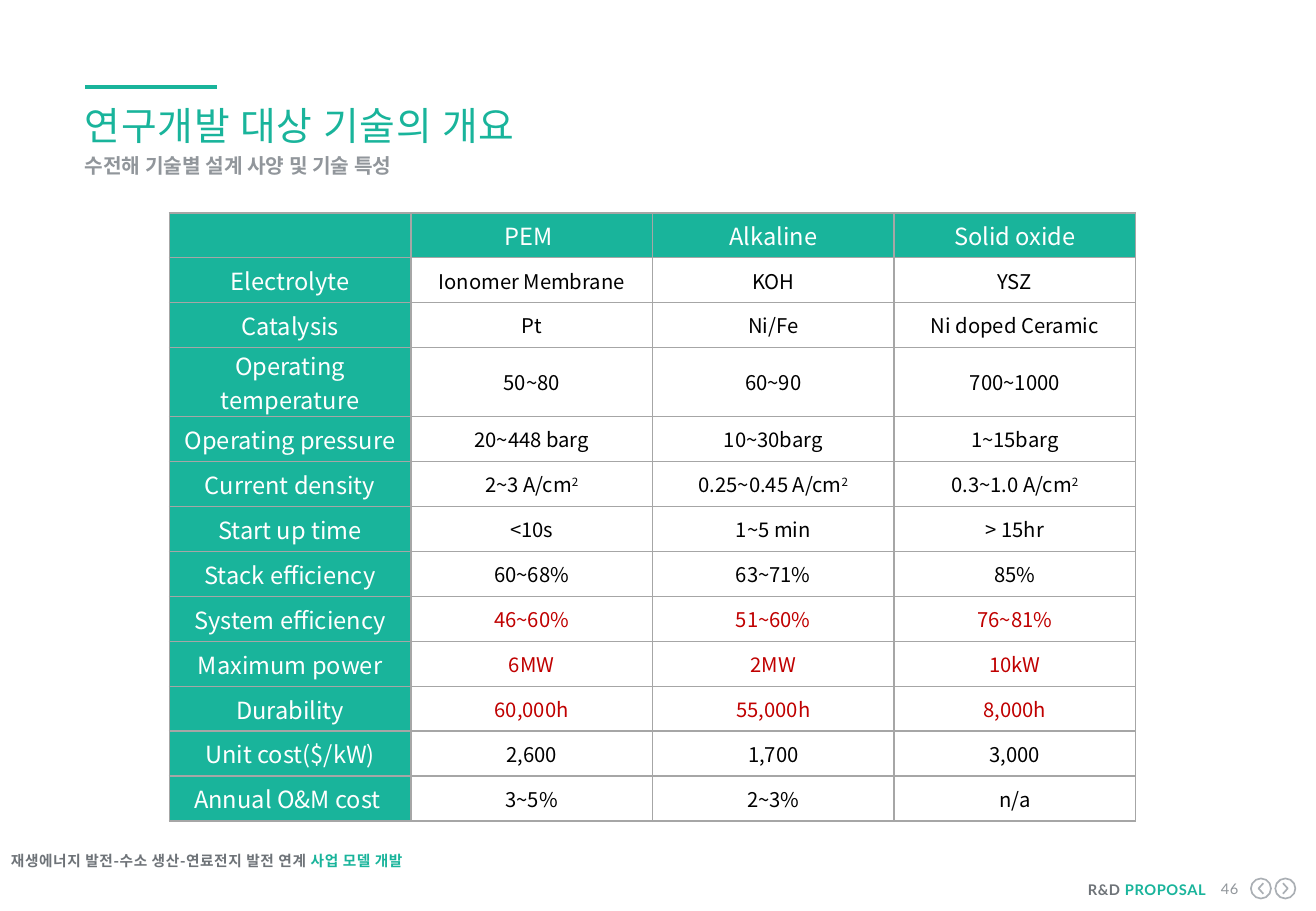
from dataclasses import dataclass
from typing import Optional

import lxml.etree
import pptx
import pptx.dml.color
import pptx.enum.shapes
import pptx.enum.text
import pptx.oxml
import pptx.oxml.ns
import pptx.util

Cm = pptx.util.Cm
Pt = pptx.util.Pt
Align = pptx.enum.text.PP_ALIGN


@dataclass(frozen=True)
class Theme:
    teal: str = "19B49B"
    dark_grey: str = "6E7378"
    grey: str = "91969B"
    icon_grey: str = "AAAFB4"
    border: str = "A6A6A6"
    white: str = "FFFFFF"
    black: str = "000000"
    red: str = "C00000"
    korean_font: str = "Noto Sans CJK KR"
    footer_font: str = "Lato"
    title_size: float = 23
    header_size: float = 14
    body_size: float = 12
    footer_size: float = 8.7


THEME = Theme()


@dataclass(frozen=True)
class TextStyle:
    size: float
    font: str = THEME.korean_font
    bold: bool = False
    spacing: int = 0  # hundredths of a point
    align: Align = Align.LEFT
    line_spacing: Optional[float] = None


@dataclass(frozen=True)
class Label:
    left: float
    top: float
    width: float
    height: float
    runs: tuple[tuple[str, str], ...]  # text and colour
    style: TextStyle


@dataclass(frozen=True)
class SpecRow:
    name: str
    values: tuple[str, str, str]
    color: str = THEME.black
    height: float = 0.94


HEADINGS = ("", "PEM ", "Alkaline", "Solid oxide")
SPEC_ROWS = (
    SpecRow("Electrolyte", ("Ionomer Membrane", "KOH", "YSZ")),
    SpecRow("Catalysis", ("Pt", "Ni/Fe", "Ni doped Ceramic")),
    SpecRow("Operating temperature", ("50~80", "60~90", "700~1000"), height=1.44),
    SpecRow("Operating pressure", ("20~448 barg", "10~30barg", "1~15barg")),
    SpecRow("Current density", ("2~3 A/cm^2", "0.25~0.45 A/cm^2", "0.3~1.0 A/cm^2")),
    SpecRow("Start up time", ("<10s", "1~5 min", "> 15hr")),
    SpecRow("Stack efficiency", ("60~68%", "63~71%", "85%")),
    SpecRow("System efficiency", ("46~60%", "51~60%", "76~81%"), THEME.red),
    SpecRow("Maximum power", ("6MW", "2MW", "10kW"), THEME.red),
    SpecRow("Durability", ("60,000h", "55,000h", "8,000h"), THEME.red),
    SpecRow("Unit cost($/kW)", ("2,600", "1,700", "3,000")),
    SpecRow("Annual O&M cost ", ("3~5%", "2~3%", "n/a")),
)

FOOTER = TextStyle(THEME.footer_size, bold=True, spacing=30)
BRAND = TextStyle(THEME.footer_size, THEME.footer_font, True, 30, Align.RIGHT)
PAGE = TextStyle(THEME.footer_size, THEME.footer_font, False, 30, Align.RIGHT)
HEADER_CELL = TextStyle(THEME.header_size, align=Align.CENTER)
BODY_CELL = TextStyle(THEME.body_size, align=Align.CENTER)

LABELS = (
    Label(21.73, 18.42, 3.48, 0.38,
          (("R&D ", THEME.dark_grey), ("PROPOSAL", THEME.teal)), BRAND),
    Label(25.25, 18.39, 0.64, 0.38, (("46", THEME.grey),), PAGE),
    Label(0.23, 17.81, 8.99, 0.38,
          (("재생에너지 발전-수소 생산-연료전지 발전 연계 ", THEME.dark_grey),
           ("사업 모델 개발", THEME.teal)), FOOTER),
    Label(1.77, 2.13, 10.03, 1.42, (("연구개발 대상 기술의 개요", THEME.teal),),
          TextStyle(THEME.title_size, spacing=50)),
    Label(1.77, 3.25, 10.03, 0.53, (("수전해 기술별 설계 사양 및 기술 특성", THEME.grey),),
          TextStyle(THEME.body_size, bold=True, line_spacing=13)),
)


def rgb(color: str) -> pptx.dml.color.RGBColor:
    return pptx.dml.color.RGBColor.from_string(color)


def write_paragraph(paragraph, runs: tuple[tuple[str, str], ...], style: TextStyle) -> None:
    """Write coloured runs; a caret makes the rest of a run superscript."""
    paragraph.alignment = style.align
    if style.line_spacing:
        paragraph.line_spacing = Pt(style.line_spacing)
    font = paragraph.font
    font.size, font.name, font.bold = Pt(style.size), style.font, style.bold
    if len(runs) == 1:
        font.color.rgb = rgb(runs[0][1])
    properties = paragraph._p.pPr.defRPr
    properties.set("spc", str(style.spacing))
    east_asian = lxml.etree.SubElement(properties, pptx.oxml.ns.qn("a:ea"))
    east_asian.set("typeface", style.font)
    for text, color in runs:
        for position, part in enumerate(text.split("^")):
            run = paragraph.add_run()
            run.text = part
            if len(runs) > 1:
                run.font.color.rgb = rgb(color)
            if position:
                run.font._element.set("baseline", "30000")


def add_label(slide, label: Label) -> None:
    box = slide.shapes.add_textbox(
        Cm(label.left), Cm(label.top), Cm(label.width), Cm(label.height))
    frame = box.text_frame
    frame.word_wrap = True
    frame.margin_left = frame.margin_right = frame.margin_top = frame.margin_bottom = 0
    write_paragraph(frame.paragraphs[0], label.runs, label.style)


def add_title_rule(slide) -> None:
    rule = slide.shapes.add_connector(
        pptx.enum.shapes.MSO_CONNECTOR.STRAIGHT, Cm(1.78), Cm(1.82), Cm(4.54), Cm(1.82))
    rule.line.color.rgb = rgb(THEME.teal)
    rule.line.width = Pt(2.25)
    lxml.etree.SubElement(rule._element.spPr, pptx.oxml.ns.qn("a:effectLst"))


def add_page_button(slide, center_x: float, direction: int) -> None:
    """Draw a ring with a chevron; direction is 1 for next, -1 for previous."""
    center_y, radius, reach, rise = 18.58, 0.21, 0.05, 0.11
    ring = slide.shapes.add_shape(
        pptx.enum.shapes.MSO_SHAPE.OVAL, Cm(center_x - radius), Cm(center_y - radius),
        Cm(2 * radius), Cm(2 * radius))
    back, tip = Cm(center_x - direction * reach), Cm(center_x + direction * reach)
    builder = slide.shapes.build_freeform(back, Cm(center_y - rise))
    builder.add_line_segments(
        [(tip, Cm(center_y)), (back, Cm(center_y + rise))], close=False)
    for shape in (ring, builder.convert_to_shape()):
        shape.shadow.inherit = False
        shape.fill.background()
        shape.line.color.rgb = rgb(THEME.icon_grey)
        shape.line.width = Pt(1)


def format_cell(cell, text: str, color: str, style: TextStyle, fill: Optional[str]) -> None:
    cell.margin_left = cell.margin_right = cell.margin_top = cell.margin_bottom = 0
    cell.vertical_anchor = pptx.enum.text.MSO_ANCHOR.MIDDLE
    properties = cell._tc.get_or_add_tcPr()
    for side in ("lnL", "lnR", "lnT", "lnB"):
        properties.append(pptx.oxml.parse_xml(
            f'<a:{side} {pptx.oxml.ns.nsdecls("a")} w="{Pt(1)}"><a:solidFill>'
            f'<a:srgbClr val="{THEME.border}"/></a:solidFill></a:{side}>'))
    if fill:
        cell.fill.solid()
        cell.fill.fore_color.rgb = rgb(fill)
    else:
        cell.fill.background()
    if text:
        write_paragraph(cell.text_frame.paragraphs[0], ((text, color),), style)


def add_spec_table(slide) -> None:
    rows = (SpecRow(HEADINGS[0], HEADINGS[1:], THEME.white),) + SPEC_ROWS
    column_width = 5.05
    table = slide.shapes.add_table(
        len(rows), len(HEADINGS), Cm(3.54), Cm(4.45),
        Cm(column_width * len(HEADINGS)), Cm(sum(row.height for row in rows))).table
    table.first_row = table.horz_banding = False
    for column in table.columns:
        column.width = Cm(column_width)
    for row_index, row in enumerate(rows):
        table.rows[row_index].height = Cm(row.height)
        for column_index, text in enumerate((row.name, *row.values)):
            cell = table.cell(row_index, column_index)
            if row_index == 0 or column_index == 0:
                format_cell(cell, text, THEME.white, HEADER_CELL, THEME.teal)
            else:
                format_cell(cell, text, row.color, BODY_CELL, None)


def main() -> None:
    presentation = pptx.Presentation()
    presentation.slide_width, presentation.slide_height = Cm(27.51), Cm(19.05)
    slide = presentation.slides.add_slide(presentation.slide_layouts[6])
    # Page furniture
    add_title_rule(slide)
    add_page_button(slide, 26.36, -1)
    add_page_button(slide, 26.87, 1)
    # Headings and footers
    for label in LABELS:
        add_label(slide, label)
    # Comparison of electrolysis technologies
    add_spec_table(slide)
    presentation.save("out.pptx")


if __name__ == "__main__":
    main()
